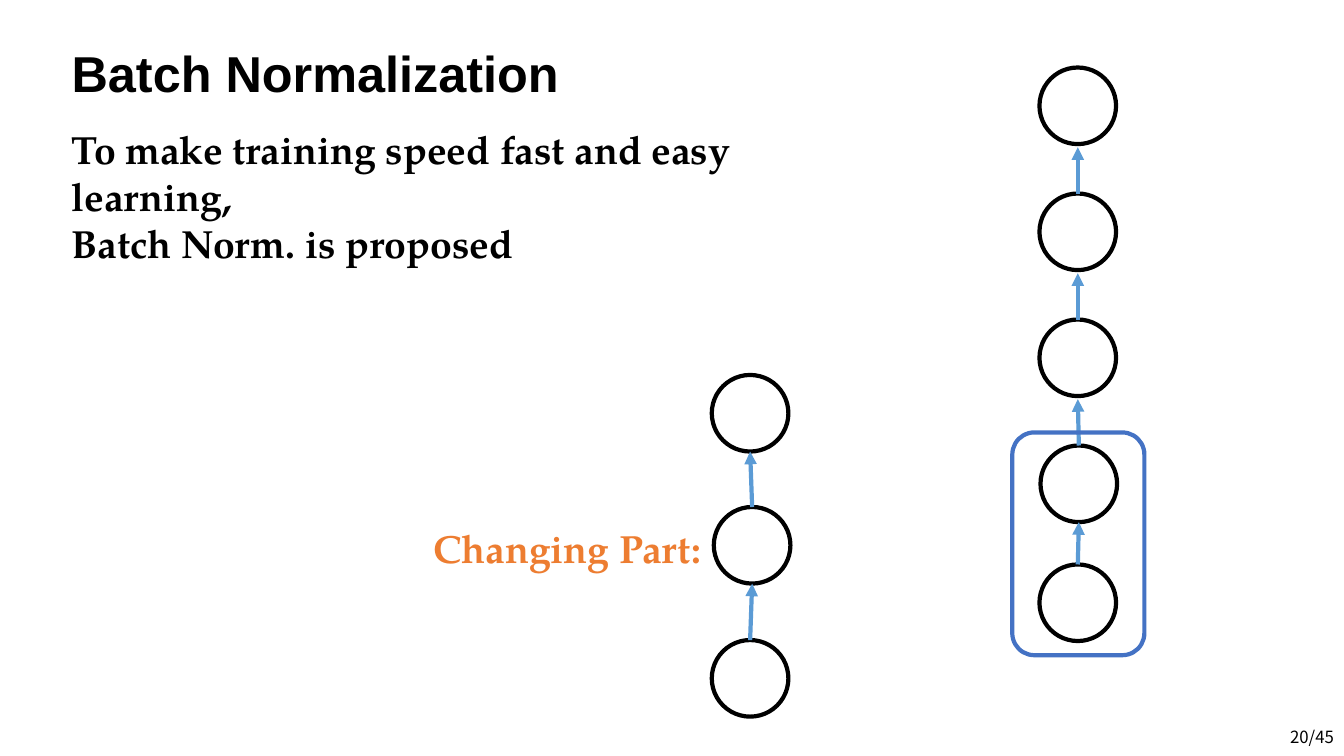
from pptx import Presentation
from pptx.dml.color import RGBColor
from pptx.enum.shapes import MSO_CONNECTOR, MSO_SHAPE
from pptx.enum.text import MSO_ANCHOR, MSO_AUTO_SIZE, PP_ALIGN
from pptx.oxml.ns import qn
from pptx.util import Inches, Pt
from lxml import etree

OVAL = MSO_SHAPE.OVAL
ROUNDED = MSO_SHAPE.ROUNDED_RECTANGLE
STRAIGHT = MSO_CONNECTOR.STRAIGHT
TOP, MIDDLE = MSO_ANCHOR.TOP, MSO_ANCHOR.MIDDLE
LEFT, RIGHT = PP_ALIGN.LEFT, PP_ALIGN.RIGHT

COLORS = {"black": "000000", "white": "FFFFFF", "arrow": "5B9BD5",
          "frame": "4472C4", "accent": "ED7D31"}
SERIF = "TeX Gyre Pagella"

TITLE = "Batch Normalization"
TITLE_BOX = (0.61, 0.43, 8.24, 0.65)
TEXTS = [
    (["To make training speed fast and easy learning,", "Batch Norm. is proposed"],
     (0.61, 1.19, 8.38, 1.04), SERIF, 28, True, "black", LEFT, TOP),
    (["Changing Part:"], (4.2, 5.15, 3, 0.57), SERIF, 28, True, "accent", LEFT, TOP),
    (["20/45"], (10.33, 7.11, 3, 0.4), "Noto Sans CJK KR", 12, False, "black", RIGHT, MIDDLE),
]

DIAMETER = 0.76
LINE_WIDTH = 3
DEEP_NETWORK = {"nodes": [(10.31, 5.6), (10.32, 4.42), (10.31, 3.17), (10.31, 1.92), (10.31, 0.67)],
                "gaps": [0, 0.03, 0.03, 0.03]}
SMALL_NETWORK = {"nodes": [(7.06, 6.35), (7.08, 5.03), (7.06, 3.72)],
                 "gaps": [0, 0]}
FRAME_BOX = (10.04, 4.29, 1.31, 2.21)


def color(name):
    return RGBColor.from_string(COLORS[name])


def inches(values):
    return [Inches(value) for value in values]


def style_text(frame, lines, font_name, size, bold, color_name, align, anchor):
    frame.word_wrap = True
    frame.auto_size = MSO_AUTO_SIZE.NONE
    frame.vertical_anchor = anchor
    frame.text = "\n".join(lines)
    for paragraph in frame.paragraphs:
        paragraph.alignment = align
        font = paragraph.font
        font.name, font.size, font.bold = font_name, Pt(size), bold
        font.color.rgb = color(color_name)


def add_outline(slide, kind, box, line_color, fill_color=None):
    shape = slide.shapes.add_shape(kind, *inches(box))
    shape.shadow.inherit = False
    if fill_color:
        shape.fill.solid()
        shape.fill.fore_color.rgb = color(fill_color)
    else:
        shape.fill.background()
    shape.line.color.rgb = color(line_color)
    shape.line.width = Pt(LINE_WIDTH)


def add_arrow(slide, start, end):
    arrow = slide.shapes.add_connector(STRAIGHT, *inches(start + end))
    arrow.line.color.rgb = color("arrow")
    arrow.line.width = Pt(LINE_WIDTH)
    properties = arrow.line._get_or_add_ln()
    etree.SubElement(properties, qn("a:tailEnd"), type="triangle")
    etree.SubElement(arrow._element.spPr, qn("a:effectLst"))


def add_network(slide, nodes, gaps):
    for left, top in nodes:
        add_outline(slide, OVAL, (left, top, DIAMETER, DIAMETER), "black", "white")
    radius = DIAMETER / 2
    for lower, upper, gap in zip(nodes, nodes[1:], gaps):
        start = (lower[0] + radius, lower[1])
        end = (upper[0] + radius, upper[1] + DIAMETER + gap)
        add_arrow(slide, start, end)


def main():
    presentation = Presentation()
    presentation.slide_width, presentation.slide_height = Inches(13.33), Inches(7.5)
    slide = presentation.slides.add_slide(presentation.slide_layouts[5])

    title = slide.shapes.title
    title.left, title.top, title.width, title.height = inches(TITLE_BOX)
    style_text(title.text_frame, [TITLE], "Arial", 36, True, "black", LEFT, MIDDLE)
    title.text_frame.paragraphs[0].line_spacing = 0.9

    add_network(slide, **DEEP_NETWORK)
    add_network(slide, **SMALL_NETWORK)
    add_outline(slide, ROUNDED, FRAME_BOX, "frame")

    for lines, box, *style in TEXTS:
        text_box = slide.shapes.add_textbox(*inches(box))
        style_text(text_box.text_frame, lines, *style)

    presentation.save("out.pptx")


if __name__ == "__main__":
    main()
